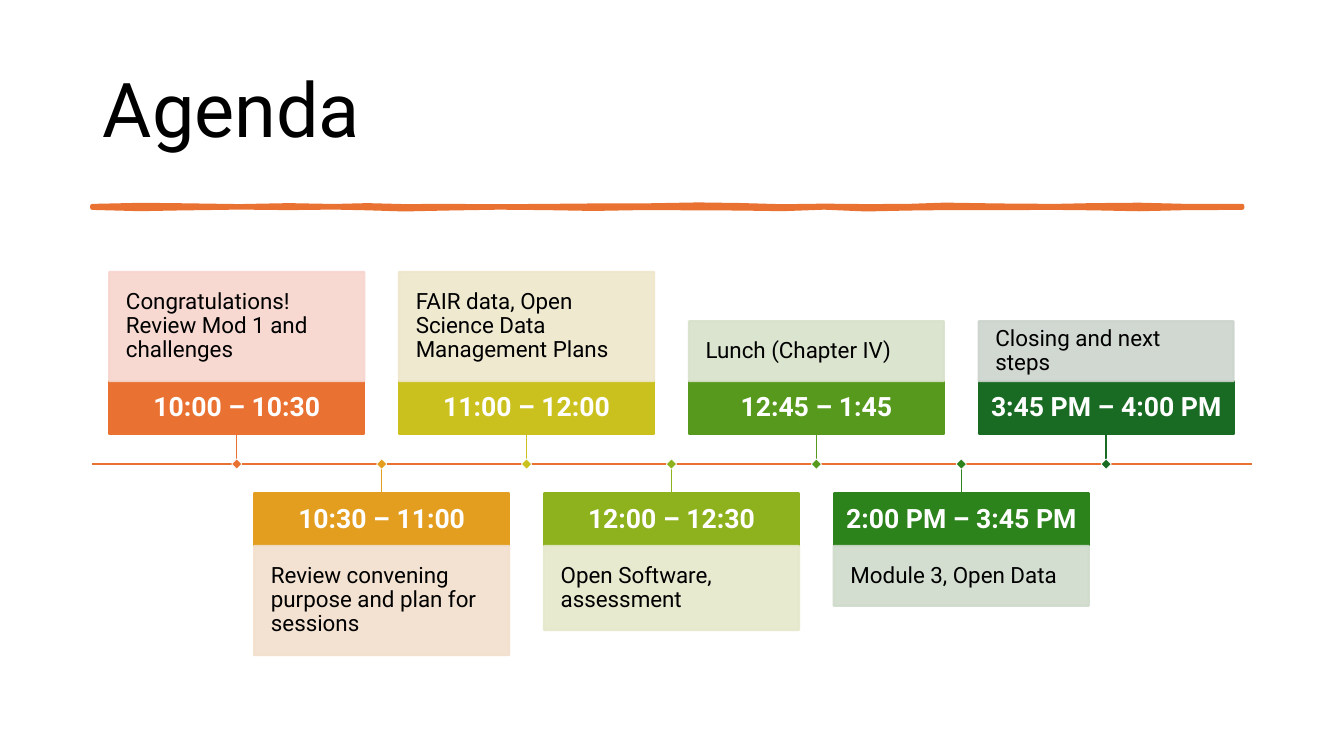
import pptx
import pptx.util
import pptx.dml.color
import pptx.enum.shapes
import pptx.enum.text
import pptx.oxml.ns
import lxml.etree

RGB = pptx.dml.color.RGBColor
SHAPE = pptx.enum.shapes.MSO_SHAPE
ALIGN = pptx.enum.text.PP_ALIGN
PX = 9525  # EMU in one px, 96 px to the inch

FONT = "Roboto"
BLACK = RGB(0x00, 0x00, 0x00)
WHITE = RGB(0xFF, 0xFF, 0xFF)
ORANGE = RGB(0xE9, 0x71, 0x32)
AMBER = RGB(0xE3, 0x9D, 0x1F)
YELLOW = RGB(0xCB, 0xC1, 0x1E)
LIME = RGB(0x8E, 0xB2, 0x1E)
GREEN = RGB(0x56, 0x99, 0x1D)
FOREST = RGB(0x2C, 0x82, 0x1B)
PINE = RGB(0x19, 0x6B, 0x24)
PALE_ORANGE = RGB(0xF7, 0xD5, 0xCE)
PALE_AMBER = RGB(0xF2, 0xDF, 0xCC)
PALE_YELLOW = RGB(0xEE, 0xE7, 0xCB)
PALE_LIME = RGB(0xE5, 0xE8, 0xCA)
PALE_GREEN = RGB(0xD8, 0xE2, 0xCA)
PALE_FOREST = RGB(0xCF, 0xDB, 0xCB)
PALE_PINE = RGB(0xCC, 0xD4, 0xCD)

# Timeline layout in px
AXIS_Y = 442
FIRST_LEFT, STEP = 104, 138
BOX_WIDTH, TIME_HEIGHT = 243, 50
UPPER_TOP, LOWER_TOP = 363, 470
MARKER = 7

# Time, topic, height of the topic box, strong colour, pale colour
SESSIONS = [
    ("10:00 – 10:30", "Congratulations! Review Mod 1 and challenges", 104, ORANGE, PALE_ORANGE),
    ("10:30 – 11:00", "Review convening purpose and plan for sessions", 104, AMBER, PALE_AMBER),
    ("11:00 – 12:00", "FAIR data, Open Science Data Management Plans", 104, YELLOW, PALE_YELLOW),
    ("12:00 – 12:30", "Open Software, assessment", 80, LIME, PALE_LIME),
    ("12:45 – 1:45", "Lunch (Chapter IV)", 57, GREEN, PALE_GREEN),
    ("2:00 PM – 3:45 PM", "Module 3, Open Data", 57, FOREST, PALE_FOREST),
    ("3:45 PM – 4:00 PM", "Closing and next steps", 57, PINE, PALE_PINE),
]

# Brush stroke: x in px, upper and lower edge in tenths of a px
BRUSH = [
    (88, 1964, 1978), (134, 1954, 1990), (165, 1957, 1984), (228, 1966, 1975),
    (275, 1957, 1980), (318, 1965, 1975), (350, 1957, 1982), (385, 1966, 1993),
    (425, 1964, 1984), (475, 1967, 1976), (520, 1964, 1980), (565, 1960, 1988),
    (610, 1960, 1980), (665, 1950, 1982), (705, 1956, 1984), (745, 1967, 1990),
    (785, 1962, 1976), (825, 1966, 1993), (865, 1964, 1984), (900, 1952, 1980),
    (950, 1960, 1980), (1005, 1964, 1978), (1040, 1957, 1982), (1085, 1953, 1991),
    (1130, 1964, 1980), (1183, 1963, 1978),
]


def write(shape, text, size, color, align, inset, bold=False):
    frame = shape.text_frame
    frame.word_wrap = True
    frame.vertical_anchor = pptx.enum.text.MSO_ANCHOR.MIDDLE
    frame.margin_left = frame.margin_right = inset * PX
    frame.margin_top = frame.margin_bottom = inset * PX
    frame.text = text
    para = frame.paragraphs[0]
    para.alignment = align
    para.line_spacing = 0.9
    font = para.runs[0].font
    font.name, font.size, font.bold = FONT, pptx.util.Pt(size), bold
    font.color.rgb = color


def paint(shape, fill, line, width):
    shape.shadow.inherit = False
    shape.fill.solid()
    shape.fill.fore_color.rgb = fill
    shape.line.color.rgb = line
    shape.line.width = pptx.util.Pt(width)


deck = pptx.Presentation()
deck.slide_width, deck.slide_height = 1280 * PX, 720 * PX
page = deck.slides.add_slide(deck.slide_layouts[6])
shapes = page.shapes

# Title
title = shapes.add_textbox(88 * PX, 38 * PX, 1104 * PX, 139 * PX)
write(title, "Agenda", 54, BLACK, ALIGN.LEFT, 10)

# Brush stroke under the title
outline = [(x * 10, upper) for x, upper, lower in BRUSH]
outline += [(x * 10, lower) for x, upper, lower in reversed(BRUSH)]
builder = shapes.build_freeform(*outline[0], scale=PX / 10)
builder.add_line_segments(outline[1:], close=True)
brush = builder.convert_to_shape()
paint(brush, ORANGE, ORANGE, 3.25)
lxml.etree.SubElement(brush.line._get_or_add_ln(), pptx.oxml.ns.qn("a:round"))

# Time axis
axis = shapes.add_connector(pptx.enum.shapes.MSO_CONNECTOR.STRAIGHT,
                            88 * PX, AXIS_Y * PX, 1192 * PX, AXIS_Y * PX)
axis.line.color.rgb = ORANGE
axis.line.width = pptx.util.Pt(1.5)
connectors = [axis]

# Sessions, by turns above and below the axis
for index, (time, topic, topic_height, strong, pale) in enumerate(SESSIONS):
    above = index % 2 == 0
    left = FIRST_LEFT + index * STEP
    time_top = UPPER_TOP if above else LOWER_TOP
    topic_top = UPPER_TOP - topic_height if above else LOWER_TOP + TIME_HEIGHT

    time_box = shapes.add_shape(SHAPE.RECTANGLE, left * PX, time_top * PX,
                                BOX_WIDTH * PX, TIME_HEIGHT * PX)
    paint(time_box, strong, strong, 1.5)
    write(time_box, time, 19, WHITE, ALIGN.CENTER, 10, bold=True)

    topic_box = shapes.add_shape(SHAPE.RECTANGLE, left * PX, topic_top * PX,
                                 BOX_WIDTH * PX, topic_height * PX)
    paint(topic_box, pale, pale, 1.5)
    write(topic_box, topic, 16, BLACK, ALIGN.LEFT, 16)
    for color in topic_box._element.spPr.iter(pptx.oxml.ns.qn("a:srgbClr")):
        lxml.etree.SubElement(color, pptx.oxml.ns.qn("a:alpha"), val="90000")

    # Stem from the time box to the axis
    center = time_box.left + time_box.width // 2
    stem = shapes.add_connector(pptx.enum.shapes.MSO_CONNECTOR.STRAIGHT,
                                center, time_top * PX, center, AXIS_Y * PX)
    stem.begin_connect(time_box, 2 if above else 0)
    stem.line.color.rgb = strong
    stem.line.width = pptx.util.Pt(1)
    connectors.append(stem)

    # Diamond on the axis
    marker = shapes.add_shape(SHAPE.RECTANGLE, center - MARKER * PX // 2,
                              AXIS_Y * PX - MARKER * PX // 2, MARKER * PX, MARKER * PX)
    marker.rotation = 45
    paint(marker, strong, WHITE, 0.5)

# Connectors without shadow
for connector in connectors:
    lxml.etree.SubElement(connector._element.spPr, pptx.oxml.ns.qn("a:effectLst"))

deck.save("out.pptx")
